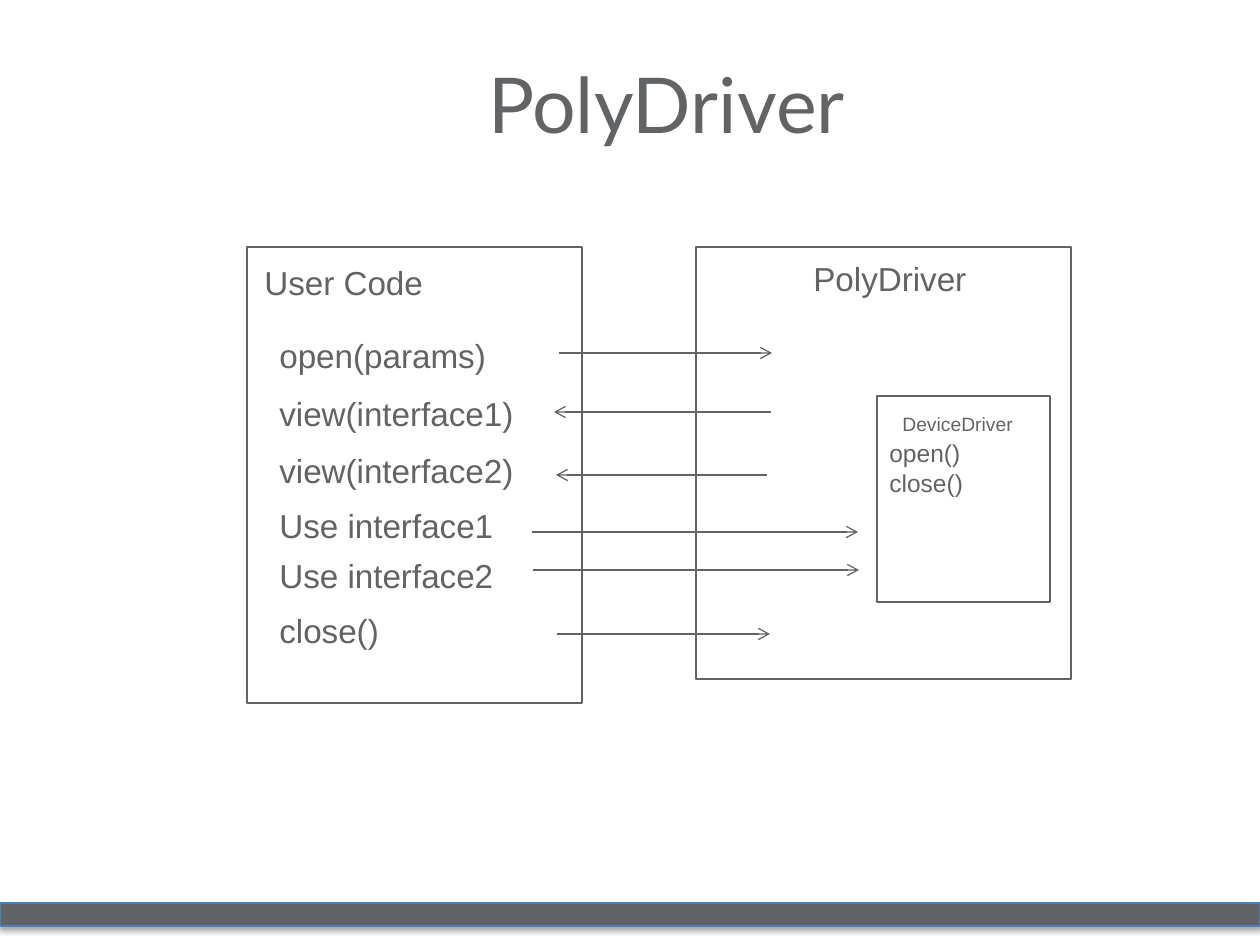
from collections import namedtuple

from lxml.etree import SubElement
from pptx import Presentation
from pptx.dml.color import RGBColor
from pptx.enum.shapes import MSO_CONNECTOR, MSO_SHAPE
from pptx.enum.text import MSO_ANCHOR, PP_ALIGN
from pptx.oxml.ns import qn
from pptx.util import Emu, Pt

EMU_PER_PX = 914400 / 126
GREY = RGBColor(0x61, 0x63, 0x65)
BLUE = RGBColor(0x4B, 0x7E, 0xBC)

Box = namedtuple("Box", "left top width height")
Call = namedtuple("Call", "label top width height start end arrow_y")

# Offsets are measured from the corner of the user code box.
CALLS = [
    Call("open(params)", 82, 286, 76, 312, 525, 106),
    Call("view(interface1)", 140, 263, 53, 524, 307, 165),
    Call("view(interface2)", 197, 263, 53, 520, 309, 228),
    Call("Use interface1", 252, 243, 53, 285, 611, 285),
    Call("Use interface2", 302, 243, 53, 286, 612, 323),
    Call("close()", 357, 154, 76, 310, 523, 387),
]


def px(length):
    return Emu(round(length * EMU_PER_PX))


def inside(box, left, top, width, height):
    """Turn offsets from the corner of a box into a box on the page."""
    return Box(box.left + left, box.top + top, width, height)


def add_rectangle(page, box, line_color=GREY):
    shape = page.shapes.add_shape(MSO_SHAPE.RECTANGLE, *map(px, box))
    shape.shadow.inherit = False
    shape.fill.background()
    shape.line.color.rgb = line_color
    shape.line.width = Pt(0.75)
    return shape


def add_text(page, box, lines, size=19, font="Arial",
             align=PP_ALIGN.LEFT, anchor=MSO_ANCHOR.TOP):
    frame = page.shapes.add_textbox(*map(px, box)).text_frame
    frame.word_wrap = True
    frame.vertical_anchor = anchor
    frame.text = "\n".join(lines)
    for para in frame.paragraphs:
        para.alignment = align
        for span in para.runs:
            span.font.size = Pt(size)
            span.font.name = font
            span.font.color.rgb = GREY


def add_arrow(page, start, end, y):
    arrow = page.shapes.add_connector(
        MSO_CONNECTOR.STRAIGHT, px(start), px(y), px(end), px(y))
    arrow.line.color.rgb = GREY
    arrow.line.width = Pt(0.75)
    SubElement(arrow.line._get_or_add_ln(), qn("a:tailEnd"), type="arrow")
    SubElement(arrow._element.spPr, qn("a:effectLst"))


def add_footer_bar(page, box):
    bar = add_rectangle(page, box, BLUE)
    bar.fill.solid()
    bar.fill.fore_color.rgb = GREY
    effects = bar._element.spPr.find(qn("a:effectLst"))
    shadow = SubElement(effects, qn("a:outerShdw"), blurRad=str(Pt(3.1)),
                        dist=str(Pt(1.8)), dir="5400000", rotWithShape="0")
    color = SubElement(shadow, qn("a:srgbClr"), val="000000")
    SubElement(color, qn("a:alpha"), val="35000")


def add_title(page, box):
    add_text(page, box, ["PolyDriver"], 44, "Lato",
             PP_ALIGN.CENTER, MSO_ANCHOR.MIDDLE)


def add_device_driver(page, box):
    add_rectangle(page, box)
    add_text(page, inside(box, 13, 10, 166, 52), ["DeviceDriver"], 11)
    add_text(page, inside(box, 0, 36, 100, 72), ["open()", "close()"], 14)


def add_poly_driver(page, box):
    add_rectangle(page, box)
    add_text(page, inside(box, 105, 5, 219, 76), ["PolyDriver"])
    add_device_driver(page, inside(box, 181, 149, 173, 206))


def add_user_code(page, box):
    """Draw the user code box, its calls and the arrow of each call."""
    add_rectangle(page, box)
    add_text(page, inside(box, 5, 9, 314, 53), ["User Code"],
             anchor=MSO_ANCHOR.MIDDLE)
    for call in CALLS:
        add_text(page, inside(box, 20, call.top, call.width, call.height),
                 [call.label])
        add_arrow(page, box.left + call.start, box.left + call.end,
                  box.top + call.arrow_y)


def main():
    deck = Presentation()
    deck.slide_width, deck.slide_height = px(1260), px(945)
    page = deck.slides.add_slide(deck.slide_layouts[6])
    add_footer_bar(page, Box(0, 903, 1260, 23))
    add_title(page, Box(136, 38, 1061, 130))
    add_poly_driver(page, Box(696, 247, 375, 432))
    add_user_code(page, Box(247, 247, 335, 456))
    deck.save("out.pptx")


if __name__ == "__main__":
    main()
